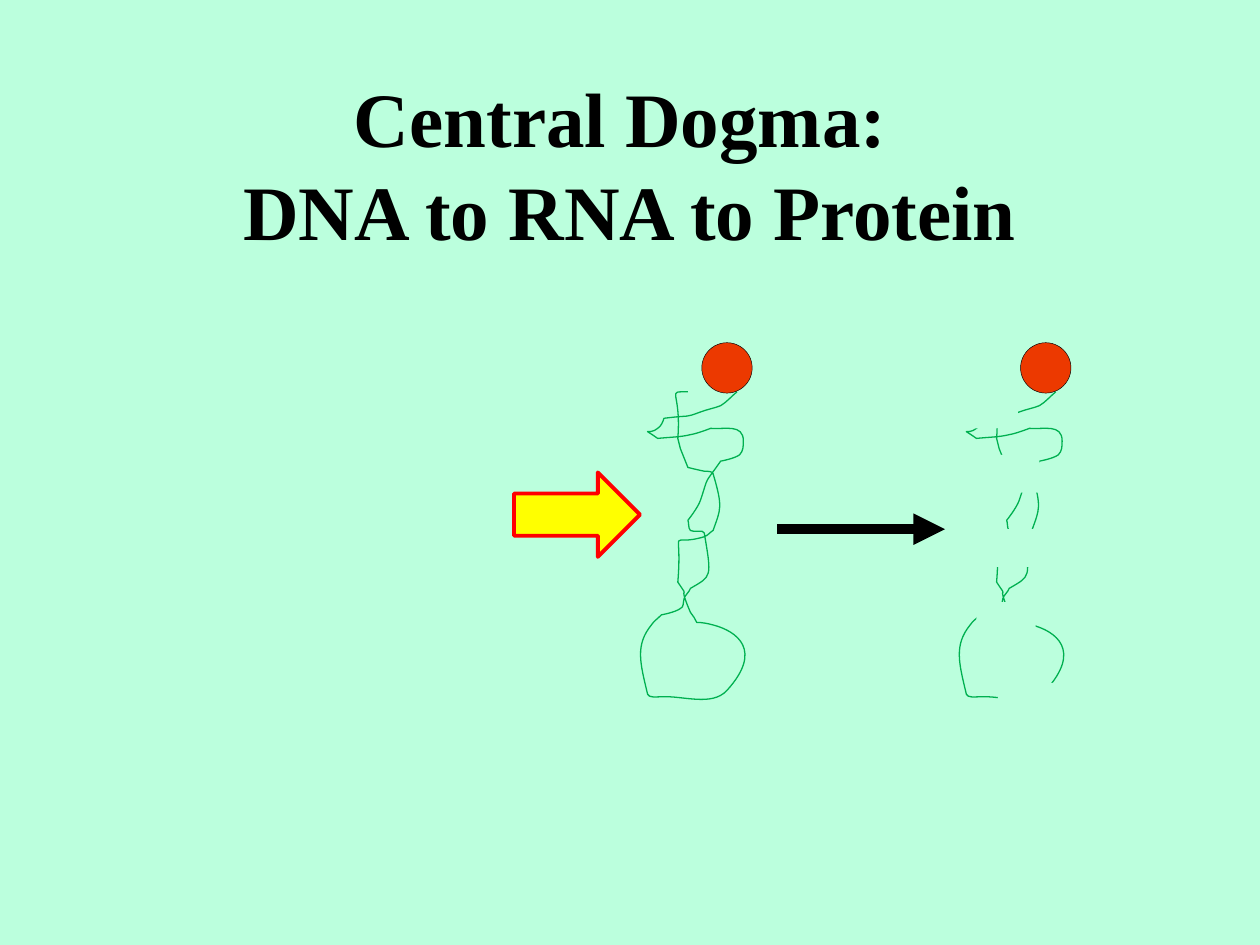
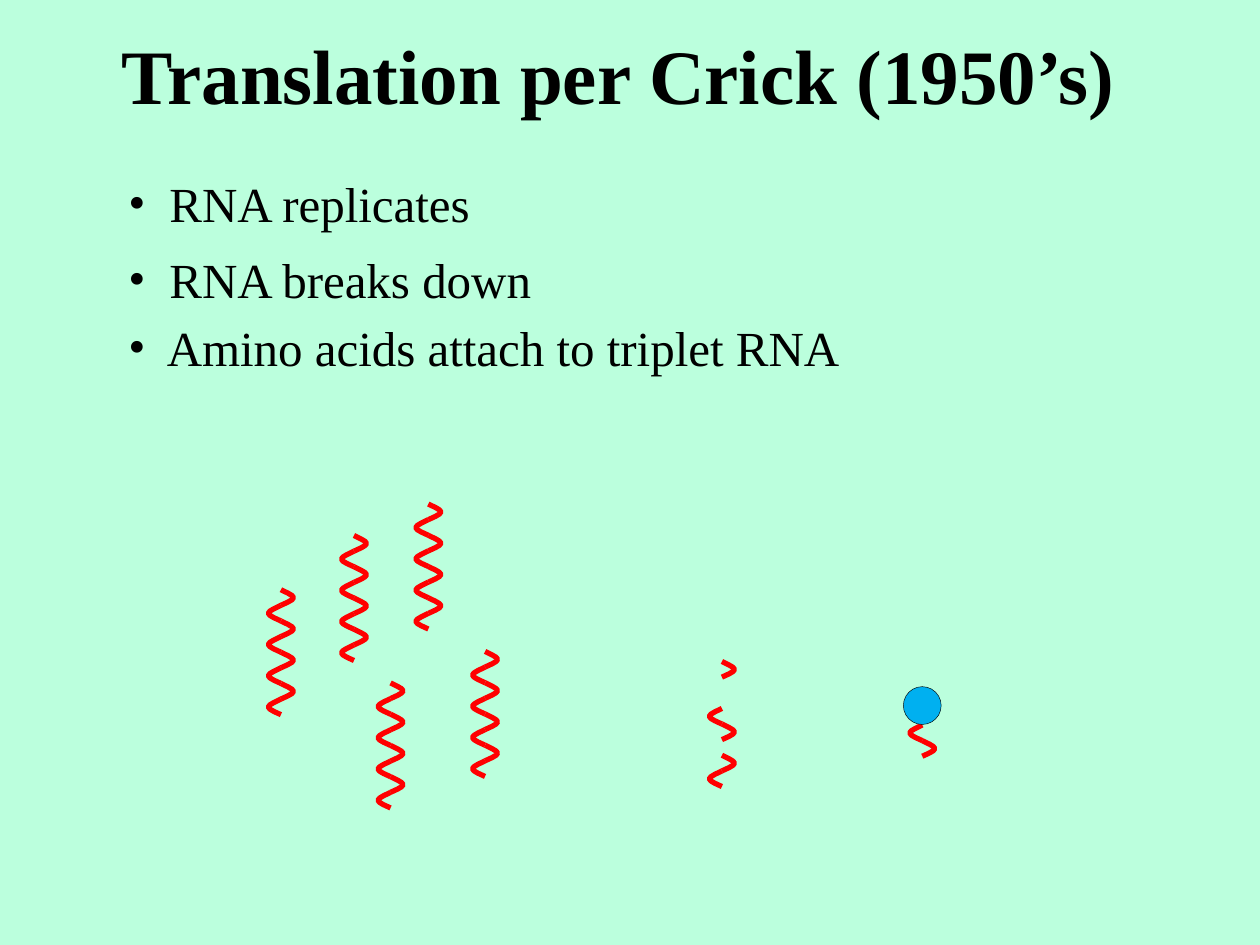
import pptx
import pptx.dml.color
import pptx.enum.shapes
import pptx.enum.text
import pptx.oxml.ns
import pptx.util
from lxml import etree

RGB = pptx.dml.color.RGBColor
MINT = RGB(0xBB, 0xFF, 0xDD)
BLACK = RGB(0, 0, 0)
RED = RGB(0xFF, 0, 0)
YELLOW = RGB(0xFF, 0xFF, 0)
GREEN = RGB(0, 0xB0, 0x50)
ORANGE = RGB(0xEC, 0x39, 0)
BLUE = RGB(0, 0xB0, 0xF0)

SHAPE = pptx.enum.shapes.MSO_SHAPE
ALIGN = pptx.enum.text.PP_ALIGN
ANCHOR = pptx.enum.text.MSO_ANCHOR
qn = pptx.oxml.ns.qn

FONT = "Times New Roman"
SCALE = 9144  # EMU in one px, 100 px to the inch
HALF = 12.4   # height of half a wave
SWING = 10    # reach of a wave to each side

# Half a wave, from its foot to its top, in parts of SWING and HALF.
BEND = [(0, 1), (0.2, 0.92), (1, 0.68), (1, 0.51),
        (1, 0.34), (0.2, 0.1), (0, 0)]

# Curved strand: start point, then two control points and an end per row.
STRAND = [
    (585, 311),
    (580, 315), (577, 319), (572, 322),
    (567, 324), (561, 325), (556, 327),
    (542, 332), (551, 329), (527, 332),
    (526, 335), (525, 338), (522, 340),
    (515, 346), (508, 338), (522, 348),
    (531, 347), (540, 347), (548, 345),
    (554, 344), (564, 340), (564, 340),
    (575, 341), (590, 336), (590, 350),
    (590, 354), (590, 358), (587, 361),
    (583, 364), (572, 366), (572, 366),
    (558, 386), (563, 376), (556, 397),
    (554, 403), (546, 413), (546, 413),
    (547, 415), (546, 419), (548, 421),
    (551, 423), (558, 420), (559, 423),
    (565, 459), (565, 457), (548, 467),
    (547, 470), (544, 472), (543, 475),
    (542, 478), (543, 482), (540, 483),
    (536, 486), (525, 488), (525, 488),
    (522, 491), (519, 493), (517, 496),
    (504, 512), (508, 526), (514, 551),
    (515, 554), (521, 553), (525, 553),
    (542, 552), (565, 561), (577, 548),
    (606, 516), (585, 501), (566, 496),
    (562, 495), (558, 494), (553, 494),
    (552, 491), (550, 489), (548, 486),
    (536, 458), (550, 480), (538, 462),
    (542, 414), (529, 435), (559, 426),
    (562, 425), (564, 422), (566, 421),
    (572, 404), (574, 403), (566, 376),
    (566, 374), (561, 374), (559, 374),
    (554, 373), (550, 372), (546, 371),
    (546, 371), (540, 356), (540, 356),
    (540, 356), (538, 348), (538, 348),
    (541, 309), (528, 311), (546, 311),
]


def px(size):
    return pptx.util.Emu(round(size * SCALE))


class Deck:
    def __init__(self):
        self.file = pptx.Presentation()
        self.file.slide_width = px(1000)
        self.file.slide_height = px(750)
        self.slide = None
        self.shapes = None

    def page(self):
        self.slide = self.file.slides.add_slide(self.file.slide_layouts[6])
        self.shapes = self.slide.shapes
        fill = self.slide.background.fill
        fill.solid()
        fill.fore_color.rgb = MINT

    def group(self):
        """Collect what is drawn next in a new group."""
        self.shapes = self.slide.shapes.add_group_shape().shapes

    def ungroup(self):
        self.shapes = self.slide.shapes

    def paint(self, shape, fill=None, line=None, width=1):
        shape.shadow.inherit = False
        if fill is None:
            shape.fill.background()
        else:
            shape.fill.solid()
            shape.fill.fore_color.rgb = fill
        if line is None:
            shape.line.fill.background()
        else:
            shape.line.color.rgb = line
            shape.line.width = pptx.util.Pt(width)

    def shape(self, kind, box, **style):
        self.paint(self.shapes.add_shape(kind, *map(px, box)), **style)

    def curve(self, knots, **style):
        """Chain of cubic curves: a start, then two controls and an end each."""
        knots = [(px(x), px(y)) for x, y in knots]
        pen = self.shapes.build_freeform(*knots[0], scale=1.0)
        pen.add_line_segments(knots[3::3], close=False)
        shape = pen.convert_to_shape()
        lines = list(shape._element.iter(qn("a:lnTo")))
        for n, line in enumerate(lines):
            bow = etree.Element(qn("a:cubicBezTo"))
            for x, y in knots[3 * n + 1:3 * n + 4]:
                etree.SubElement(bow, qn("a:pt"), x=str(x - shape.left),
                                 y=str(y - shape.top))
            line.getparent().replace(line, bow)
        self.paint(shape, **style)

    def arrow(self, start, end, color, width):
        line = self.shapes.add_connector(
            pptx.enum.shapes.MSO_CONNECTOR.STRAIGHT, *map(px, start + end))
        line.line.color.rgb = color
        line.line.width = pptx.util.Pt(width)
        etree.SubElement(line.line._get_or_add_ln(), qn("a:tailEnd"), type="triangle")
        etree.SubElement(line._element.spPr, qn("a:effectLst"))

    def text(self, words, box, size=28, bold=False, align=ALIGN.LEFT,
             anchor=ANCHOR.TOP, indent=0):
        frame = self.shapes.add_textbox(*map(px, box)).text_frame
        frame.word_wrap = True
        frame.vertical_anchor = anchor
        para = frame.paragraphs[0]
        para.text = words
        para.alignment = align
        if indent:
            props = para._p.get_or_add_pPr()
            props.set("marL", str(px(indent)))
            props.set("indent", str(-px(indent)))
            etree.SubElement(props, qn("a:buFont"), typeface=FONT)
            etree.SubElement(props, qn("a:buChar"), char="•")
        for run in para.runs:
            run.font.name = FONT
            run.font.size = pptx.util.Pt(size)
            run.font.bold = bold
            run.font.color.rgb = BLACK

    def title(self, words, box, **style):
        self.text(words, box, size=44, bold=True, align=ALIGN.CENTER, **style)

    def strand(self, shift=0):
        """Green strand with an orange ball on top."""
        self.curve([(x + shift, y) for x, y in STRAND], line=GREEN, width=0.75)
        self.shape(SHAPE.OVAL, (557 + shift, 272, 40, 40),
                   fill=ORANGE, line=BLACK, width=0.25)

    def wave(self, x, top, halves=range(8)):
        """Red wave; even halves bend right and odd ones left."""
        for n in halves:
            y = top + n * HALF
            side = SWING if n % 2 == 0 else -SWING
            self.curve([(x + side * a, y + HALF * b) for a, b in BEND],
                       line=RED, width=3)


def dogma(deck):
    deck.page()
    deck.title("Central Dogma: \vDNA to RNA to Protein", (75, 67, 850, 125),
               anchor=ANCHOR.MIDDLE)
    deck.shape(SHAPE.RIGHT_ARROW, (408, 375, 100, 67),
               fill=YELLOW, line=RED, width=2.25)
    deck.strand()
    deck.group()
    deck.strand(253)
    for x, y in [(761, 310), (778, 361), (786, 420), (775, 478), (792, 542)]:
        deck.shape(SHAPE.RECTANGLE, (x, y, 47, 30), fill=MINT)
    deck.ungroup()
    deck.arrow((617, 420), (750, 420), BLACK, 6)


def crick(deck):
    deck.page()
    deck.title("Translation per Crick (1950’s)", (7, 17, 968, 84))
    points = [(133, " RNA replicates"), (193, " RNA breaks down"),
              (247, " Amino acids attach to triplet RNA")]
    for y, words in points:
        deck.text(words, (92, y, 800, 57), indent=23)
    deck.group()
    for x, y in [(223, 468), (340, 400), (385, 517), (310, 542), (281, 425)]:
        deck.wave(x, y)
    deck.group()
    deck.wave(573, 525, halves=(0, 3, 4, 6, 7))
    deck.group()
    deck.wave(732, 563, halves=(1, 2))
    deck.shape(SHAPE.OVAL, (717, 545, 30, 30), fill=BLUE, line=BLACK, width=0.25)


def main():
    deck = Deck()
    dogma(deck)
    crick(deck)
    deck.file.save("out.pptx")


if __name__ == "__main__":
    main()
